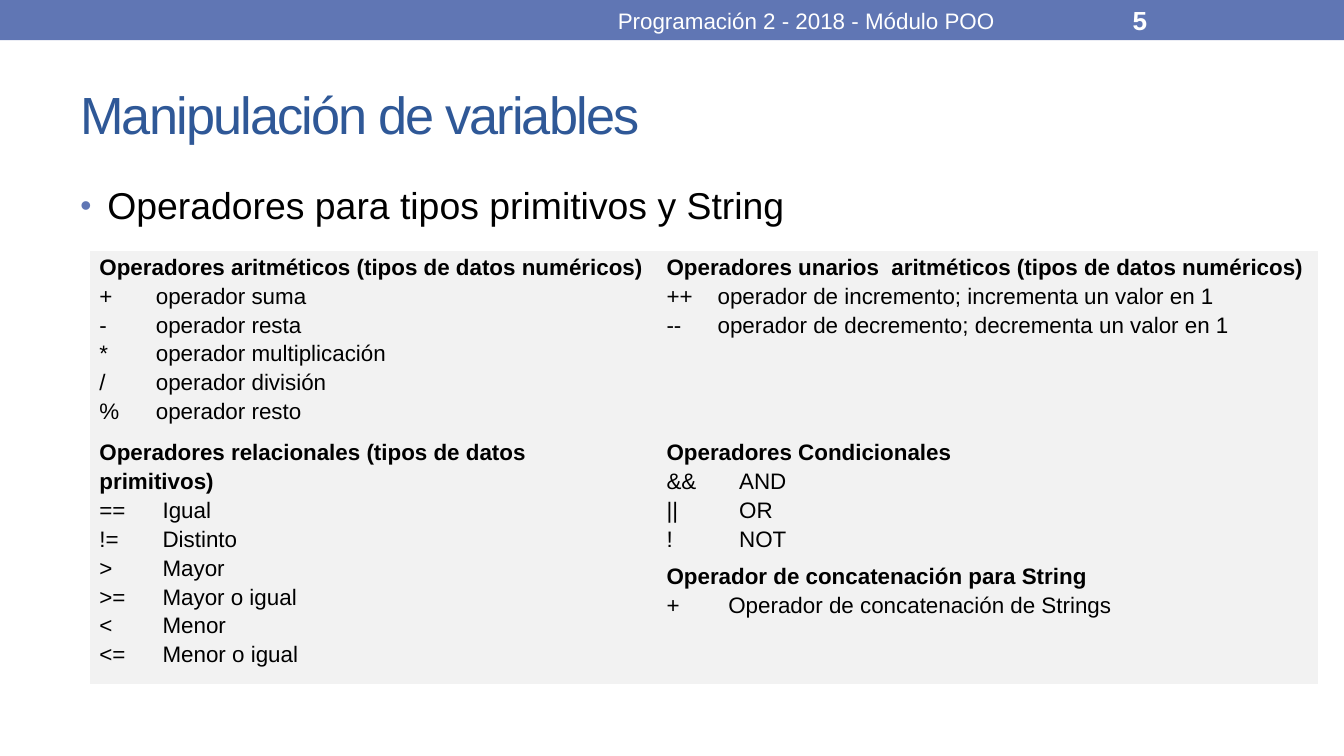
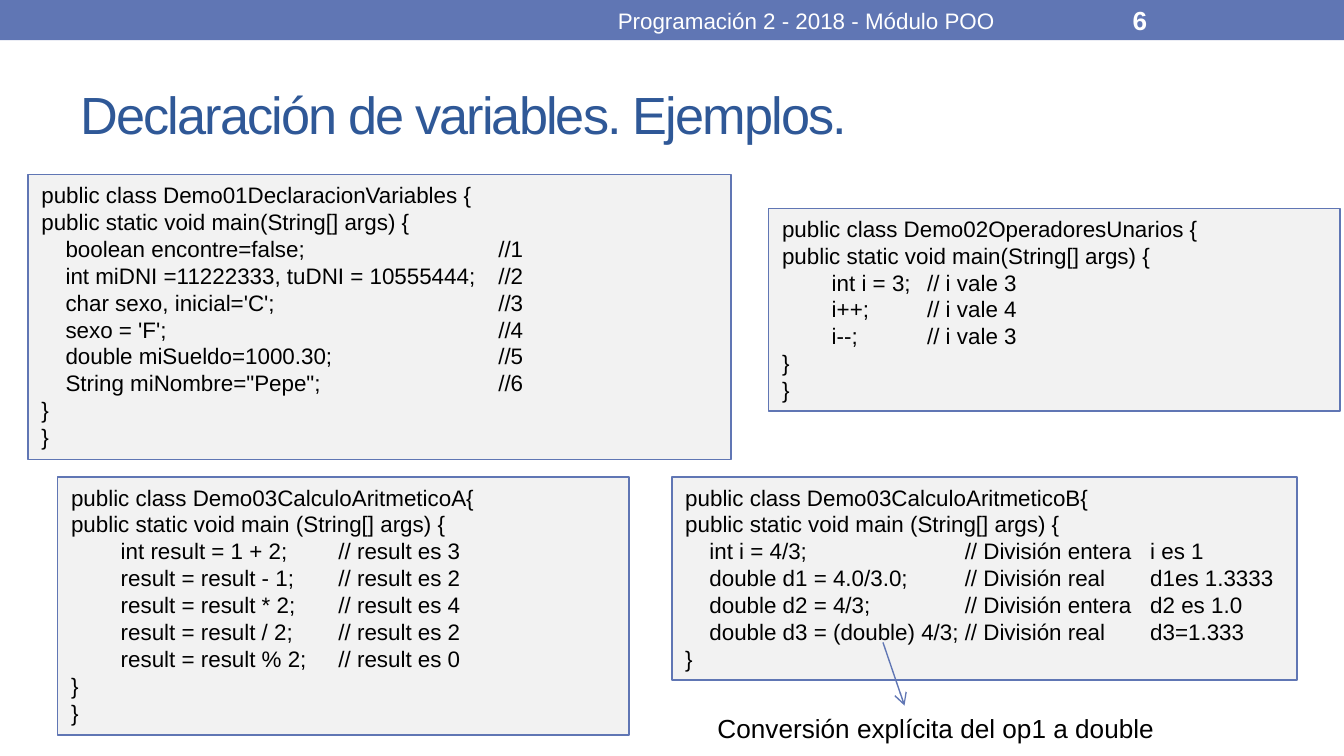
from lxml.etree import SubElement
from pptx import Presentation
from pptx.dml.color import RGBColor
from pptx.enum.shapes import MSO_CONNECTOR, MSO_SHAPE
from pptx.enum.text import MSO_ANCHOR, PP_ALIGN
from pptx.oxml.ns import qn
from pptx.util import Inches, Pt

COLORS = {
    "accent": "6076B4",
    "title": "2F5897",
    "panel": "F2F2F2",
    "text": "000000",
    "white": "FFFFFF",
}
FONT = "Arial"
FOOTER = "Programación 2 - 2018 - Módulo POO"
NO_STYLE = "{2D5ABB26-0587-4C30-8999-92F81FD0307C}"


class Deck:
    def __init__(self):
        self.presentation = Presentation()
        self.presentation.slide_width = Inches(10)
        self.presentation.slide_height = Inches(10 * 9 / 16)
        self.slide = None

    def color(self, name):
        return RGBColor.from_string(COLORS[name])

    def box(self, bounds):
        return [Inches(length) for length in bounds]

    def format(self, paragraph, size, color="text", bold=False, spacing=None):
        for run in paragraph.runs:
            run.font.name = FONT
            run.font.size = Pt(size)
            run.font.bold = bold
            run.font.color.rgb = self.color(color)
            if spacing is not None:
                run.font._element.set("spc", str(spacing))

    def tabs(self, paragraph, stops):
        tab_list = SubElement(paragraph._p.get_or_add_pPr(), qn("a:tabLst"))
        for stop in stops:
            SubElement(tab_list, qn("a:tab"), pos=str(Inches(stop)), algn="l")

    def text(self, bounds, content, size, color="text", bold=False,
             anchor=MSO_ANCHOR.MIDDLE, align=PP_ALIGN.LEFT, spacing=None):
        shape = self.slide.shapes.add_textbox(*self.box(bounds))
        frame = shape.text_frame
        frame.word_wrap = True
        frame.vertical_anchor = anchor
        frame.text = content
        paragraph = frame.paragraphs[0]
        paragraph.alignment = align
        self.format(paragraph, size, color, bold, spacing)
        return paragraph

    def rectangle(self, bounds, fill, line=None):
        shape = self.slide.shapes.add_shape(MSO_SHAPE.RECTANGLE, *self.box(bounds))
        shape.shadow.inherit = False
        shape.fill.solid()
        shape.fill.fore_color.rgb = self.color(fill)
        if line:
            shape.line.color.rgb = self.color(line)
            shape.line.width = Pt(0.75)
        else:
            shape.line.fill.background()
        return shape

    def new_slide(self, title, number):
        self.slide = self.presentation.slides.add_slide(self.presentation.slide_layouts[6])
        self.rectangle((0, 0, 10, 0.3), "accent")
        self.text((0.5, 0.44, 9, 0.81), title, 28, "title", spacing=-100)
        self.text((8.33, 0.01, 1.17, 0.28), str(number), 14, "white", bold=True)
        self.text((3.75, 0.01, 4.5, 0.28), FOOTER, 12, "white", align=PP_ALIGN.CENTER)

    def bullet(self, bounds, content):
        paragraph = self.text(bounds, content, 20, anchor=MSO_ANCHOR.TOP)
        paragraph.space_before = Pt(2.5)
        properties = paragraph._p.get_or_add_pPr()
        properties.set("marL", str(Inches(0.2)))
        properties.set("indent", str(Inches(-0.2)))
        bullet_color = SubElement(properties, qn("a:buClr"))
        SubElement(bullet_color, qn("a:srgbClr"), val=COLORS["accent"])
        SubElement(properties, qn("a:buSzPct"), val="85000")
        SubElement(properties, qn("a:buFont"), typeface=FONT)
        SubElement(properties, qn("a:buChar"), char="•")

    def code(self, bounds, stops, source):
        shape = self.rectangle(bounds, "panel", "accent")
        frame = shape.text_frame
        frame.word_wrap = True
        frame.vertical_anchor = MSO_ANCHOR.TOP
        frame.text = source.strip("\n")
        for paragraph in frame.paragraphs:
            paragraph.alignment = PP_ALIGN.LEFT
            self.tabs(paragraph, stops)
            self.format(paragraph, 12)

    def operator_cell(self, cell, heading, stop, operators):
        cell.margin_left = Inches(0.07)
        cell.margin_right = Inches(0.09)
        cell.margin_top = cell.margin_bottom = 0
        lines = [f"{symbol}\t{meaning}" for symbol, meaning in operators]
        cell.text_frame.text = "\n".join([heading] + lines)
        for index, paragraph in enumerate(cell.text_frame.paragraphs):
            paragraph.line_spacing = 1.15
            self.tabs(paragraph, [stop])
            self.format(paragraph, 12, bold=index == 0)

    def operator_table(self, bounds, widths, heights, groups):
        graphic = self.slide.shapes.add_table(len(heights), len(widths), *self.box(bounds))
        table = graphic.table
        table.first_row = table.horz_banding = False
        for style in graphic.element.iter(qn("a:tableStyleId")):
            style.text = NO_STYLE
        for column, width in zip(table.columns, widths):
            column.width = Inches(width)
        for row, height in zip(table.rows, heights):
            row.height = Inches(height)
        graphic.height = Inches(bounds[3])
        for cell in table.iter_cells():
            cell.fill.solid()
            cell.fill.fore_color.rgb = self.color("panel")
        table.cell(1, 0).merge(table.cell(2, 0))
        for (row, column), group in groups.items():
            self.operator_cell(table.cell(row, column), *group)

    def arrow(self, start, end):
        connector = self.slide.shapes.add_connector(
            MSO_CONNECTOR.STRAIGHT, *self.box(start + end))
        connector.line.color.rgb = self.color("accent")
        connector.line.width = Pt(0.75)
        properties = connector.element.spPr
        SubElement(properties.find(qn("a:ln")), qn("a:tailEnd"), type="arrow")
        SubElement(properties, qn("a:effectLst"))


OPERATORS = {
    (0, 0): ("Operadores aritméticos (tipos de datos numéricos)", 0.42, [
        ("+", "operador suma"),
        ("-", "operador resta"),
        ("*", "operador multiplicación"),
        ("/", "operador división"),
        ("%", "operador resto"),
    ]),
    (0, 1): ("Operadores unarios  aritméticos (tipos de datos numéricos)", 0.38, [
        ("++", "operador de incremento; incrementa un valor en 1"),
        ("--", "operador de decremento; decrementa un valor en 1"),
    ]),
    (1, 0): ("Operadores relacionales (tipos de datos primitivos)", 0.47, [
        ("==", "Igual"),
        ("!=", "Distinto"),
        (">", "Mayor"),
        (">=", "Mayor o igual"),
        ("<", "Menor"),
        ("<=", "Menor o igual"),
    ]),
    (1, 1): ("Operadores Condicionales", 0.54, [
        ("&&", "AND"),
        ("||", "OR"),
        ("!", "NOT"),
    ]),
    (2, 1): ("Operador de concatenación para String", 0.46, [
        ("+", "Operador de concatenación de Strings"),
    ]),
}

DECLARATIONS = """
public class Demo01DeclaracionVariables {
public static void main(String[] args) {
\tboolean encontre=false;\t//1
\tint miDNI =11222333, tuDNI = 10555444;\t//2
\tchar sexo, inicial='C';\t//3
\tsexo = 'F';\t//4
\tdouble miSueldo=1000.30;\t//5
\tString miNombre="Pepe";\t//6
}
}
"""

UNARY = """
public class Demo02OperadoresUnarios {
public static void main(String[] args) {
\tint i = 3;\t// i vale 3
\ti++;\t// i vale 4
\ti--;\t// i vale 3
}
}
"""

ARITHMETIC_A = """
public class Demo03CalculoAritmeticoA{
public static void main (String[] args) {
\tint result = 1 + 2;\t// result es 3
\tresult = result - 1;\t// result es 2
\tresult = result * 2;\t// result es 4
\tresult = result / 2;\t// result es 2
\tresult = result % 2;\t// result es 0
}
}
"""

ARITHMETIC_B = """
public class Demo03CalculoAritmeticoB{
public static void main (String[] args) {
\tint i = 4/3;\t// División entera\ti es 1
\tdouble d1 = 4.0/3.0;\t// División real\td1es 1.3333
\tdouble d2 = 4/3;\t// División entera\td2 es 1.0
\tdouble d3 = (double) 4/3;\t// División real\td3=1.333
}
"""


def main():
    deck = Deck()

    deck.new_slide("Manipulación de variables", 5)
    deck.bullet((0.5, 1.31, 9, 4), "Operadores para tipos primitivos y String")
    deck.operator_table((0.67, 1.87, 9.14, 3.19), (4.22, 4.92), (1.15, 0.72, 0.54), OPERATORS)

    deck.new_slide("Declaración de variables. Ejemplos.", 6)
    deck.code((0.21, 1.3, 5.23, 2.12), (0.18, 3.4), DECLARATIONS)
    deck.code((5.72, 1.55, 4.25, 1.51), (0.37, 1.08), UNARY)
    deck.code((0.43, 3.55, 4.25, 1.92), (0.37, 1.99), ARITHMETIC_A)
    deck.code((5, 3.55, 4.65, 1.51), (0.18, 2.08, 3.46), ARITHMETIC_B)
    deck.arrow((6.57, 4.78), (6.73, 5.25))
    deck.text((5.24, 5.25, 3.7, 0.34), "Conversión explícita del op1 a double", 14,
              anchor=MSO_ANCHOR.TOP)

    deck.presentation.save("out.pptx")


if __name__ == "__main__":
    main()
